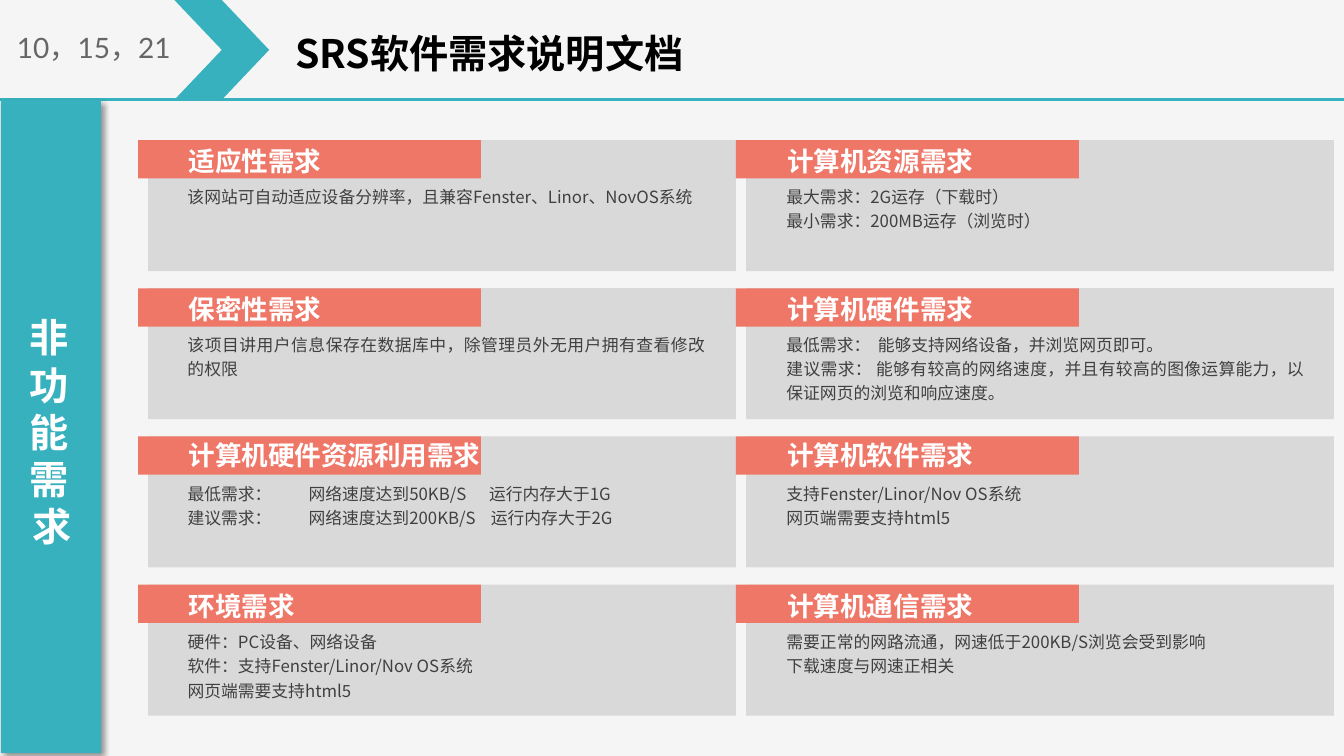
import pptx
import pptx.util
import pptx.oxml
import pptx.oxml.ns
from pptx.dml.color import RGBColor
from pptx.enum.shapes import MSO_CONNECTOR, MSO_SHAPE
from pptx.enum.text import PP_ALIGN
from pptx.util import Inches, Pt

TEAL = RGBColor(0x38, 0xB1, 0xBF)
CORAL = RGBColor(0xEF, 0x77, 0x68)
PANEL = RGBColor(0xD9, 0xD9, 0xD9)
PAPER = RGBColor(0xF5, 0xF5, 0xF5)
BLACK = RGBColor(0, 0, 0)
WHITE = RGBColor(0xFF, 0xFF, 0xFF)
BODY = RGBColor(0x40, 0x40, 0x40)
GREY = RGBColor(0x66, 0x66, 0x66)
CJK = "Noto Sans CJK SC"

PAGES = "10，15，21"
TITLE = "SRS软件需求说明文档"
SIDE = "非功能需求"
COLUMNS = [
    [
        ("适应性需求", ["该网站可自动适应设备分辨率，且兼容Fenster、Linor、NovOS系统"]),
        ("保密性需求", ["该项目讲用户信息保存在数据库中，除管理员外无用户拥有查看修改的权限"]),
        ("计算机硬件资源利用需求", [
            "最低需求：\t网络速度达到50KB/S      运行内存大于1G",
            "建议需求：\t网络速度达到200KB/S    运行内存大于2G"]),
        ("环境需求", ["硬件：PC设备、网络设备",
                  "软件：支持Fenster/Linor/Nov OS系统",
                  "网页端需要支持html5"]),
    ],
    [
        ("计算机资源需求", ["最大需求：2G运存（下载时）", "最小需求：200MB运存（浏览时）"]),
        ("计算机硬件需求", [
            "最低需求：  能够支持网络设备，并浏览网页即可。",
            "建议需求： 能够有较高的网络速度，并且有较高的图像运算能力，以保证网页的浏览和响应速度。"]),
        ("计算机软件需求", ["支持Fenster/Linor/Nov OS系统", "网页端需要支持html5"]),
        ("计算机通信需求", ["需要正常的网路流通，网速低于200KB/S浏览会受到影响",
                     "下载速度与网速正相关"]),
    ],
]
PANEL_X = [1.47, 7.4]
TEXT_X = [1.73, 7.67]
TOP, PITCH = 1.39, 1.47
HEADING_DY = [-0.03, -0.03, -0.05, -0.02]
BODY_DY = [0.35, 0.35, 0.36, 0.36]
BODY_W = [5.4, 5.4, 5.32, 5.32]

prs = pptx.Presentation()
prs.slide_width, prs.slide_height = Inches(13.33), Inches(7.5)
s = prs.slides.add_slide(prs.slide_layouts[6])
s.background.fill.solid()
s.background.fill.fore_color.rgb = PAPER


def add_block(kind, x, y, w, h, color):
    sp = s.shapes.add_shape(kind, Inches(x), Inches(y), Inches(w), Inches(h))
    sp.shadow.inherit = False
    sp.fill.solid()
    sp.fill.fore_color.rgb = color
    sp.line.fill.background()
    return sp


def add_text(x, y, w, h, lines, size, color, font=CJK, bold=False,
             align=PP_ALIGN.LEFT, spacing=None, inset=(0.13, 0.07)):
    """Add a wrapping text box with one paragraph per line; return its paragraphs."""
    tf = s.shapes.add_textbox(Inches(x), Inches(y), Inches(w), Inches(h)).text_frame
    tf.word_wrap = True
    tf.margin_left = tf.margin_right = Inches(inset[0])
    tf.margin_top = tf.margin_bottom = Inches(inset[1])
    for i, line in enumerate(lines):
        p = tf.add_paragraph() if i else tf.paragraphs[0]
        p.alignment = align
        if spacing:
            p.line_spacing = Pt(spacing)
        r = p.add_run()
        r.text = line
        r.font.size, r.font.bold, r.font.name = Pt(size), bold, font
        r.font.color.rgb = color
        ea = pptx.oxml.parse_xml(
            f'<a:ea {pptx.oxml.ns.nsdecls("a")} typeface="{CJK}"/>')
        r.font._element.find(pptx.oxml.ns.qn("a:latin")).addnext(ea)
    return tf.paragraphs


def add_tab(p, inches):
    tabs = pptx.oxml.parse_xml(
        f'<a:tabLst {pptx.oxml.ns.nsdecls("a")}>'
        f'<a:tab pos="{Inches(inches)}" algn="l"/></a:tabLst>')
    p._p.get_or_add_pPr().append(tabs)


# Header
rule = s.shapes.add_connector(MSO_CONNECTOR.STRAIGHT, 0, Inches(0.99),
                              prs.slide_width, Inches(0.99))
rule.line.color.rgb = TEAL
rule.line.width = Pt(2.25)
rule._element.spPr.append(
    pptx.oxml.parse_xml(f'<a:effectLst {pptx.oxml.ns.nsdecls("a")}/>'))
add_block(MSO_SHAPE.CHEVRON, 1.73, 0, 0.94, 0.99, TEAL)
add_text(0.07, 0.25, 1.86, 0.44, [PAGES], 20, GREY, font="Lato", inset=(0.1, 0.05))
add_text(2.83, 0.21, 4.46, 0.57, [TITLE], 28, BLACK, bold=True, spacing=36,
         inset=(0.1, 0.05))

# Side bar
bar = add_block(MSO_SHAPE.RECTANGLE, 0.01, 0.99, 0.99, 6.48, TEAL)
bar._element.spPr.find(pptx.oxml.ns.qn("a:effectLst")).append(pptx.oxml.parse_xml(
    f'<a:outerShdw {pptx.oxml.ns.nsdecls("a")} blurRad="{Pt(4)}" dist="{Pt(3)}" '
    'dir="2700000" algn="tl" rotWithShape="0"><a:srgbClr val="000000">'
    '<a:alpha val="40000"/></a:srgbClr></a:outerShdw>'))
side = add_text(0.07, 3.04, 0.77, 2.49, [SIDE], 28, WHITE, bold=True,
                align=PP_ALIGN.RIGHT, spacing=33.7)
side[0].runs[0].font._element.set("spc", "200")

# Requirement panels
for panel_x, text_x, cards in zip(PANEL_X, TEXT_X, COLUMNS):
    for row, (heading, lines) in enumerate(cards):
        y = TOP + row * PITCH
        add_block(MSO_SHAPE.RECTANGLE, panel_x, y, 5.83, 1.3, PANEL)
        add_block(MSO_SHAPE.RECTANGLE, panel_x - 0.1, y, 3.4, 0.38, CORAL)
        for p in add_text(text_x, y + BODY_DY[row], BODY_W[row], 0.83, lines, 12,
                          BODY, align=PP_ALIGN.JUSTIFY, spacing=17.3):
            if "\t" in p.text:
                add_tab(p, 1.2)
        add_text(text_x + 0.01, y + HEADING_DY[row], 3.2, 0.45, [heading], 19, WHITE,
                 bold=True, spacing=23)

prs.save("out.pptx")
